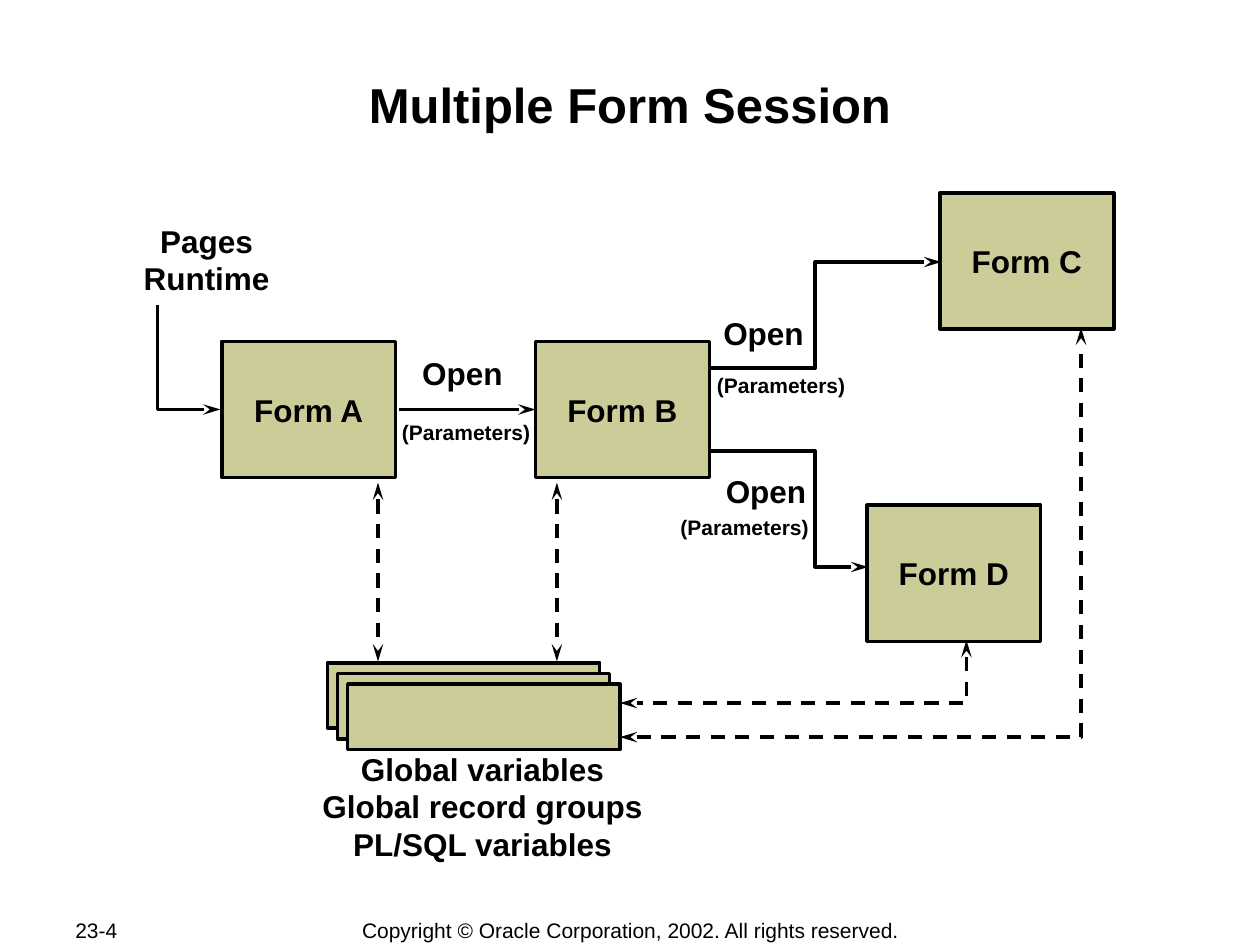
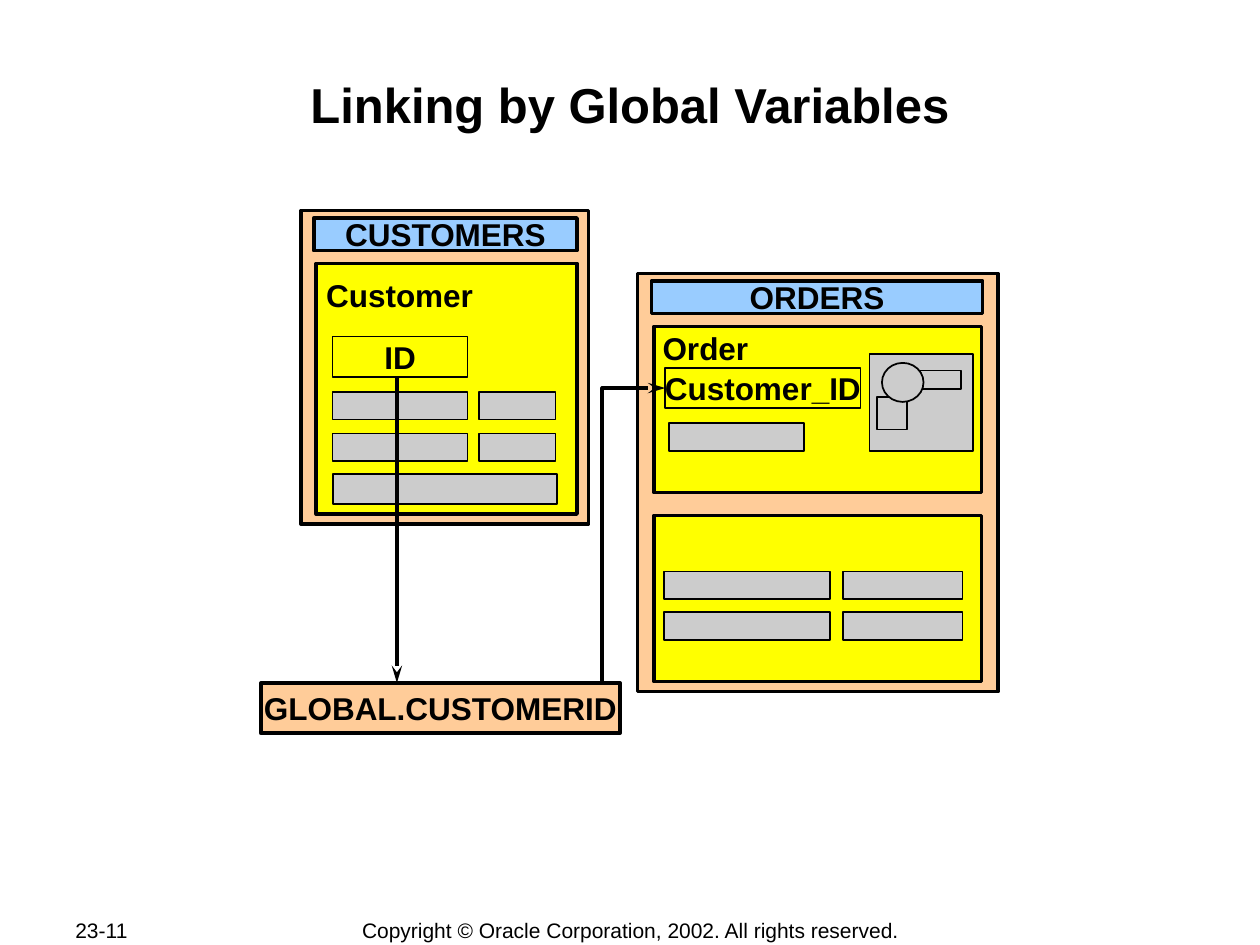
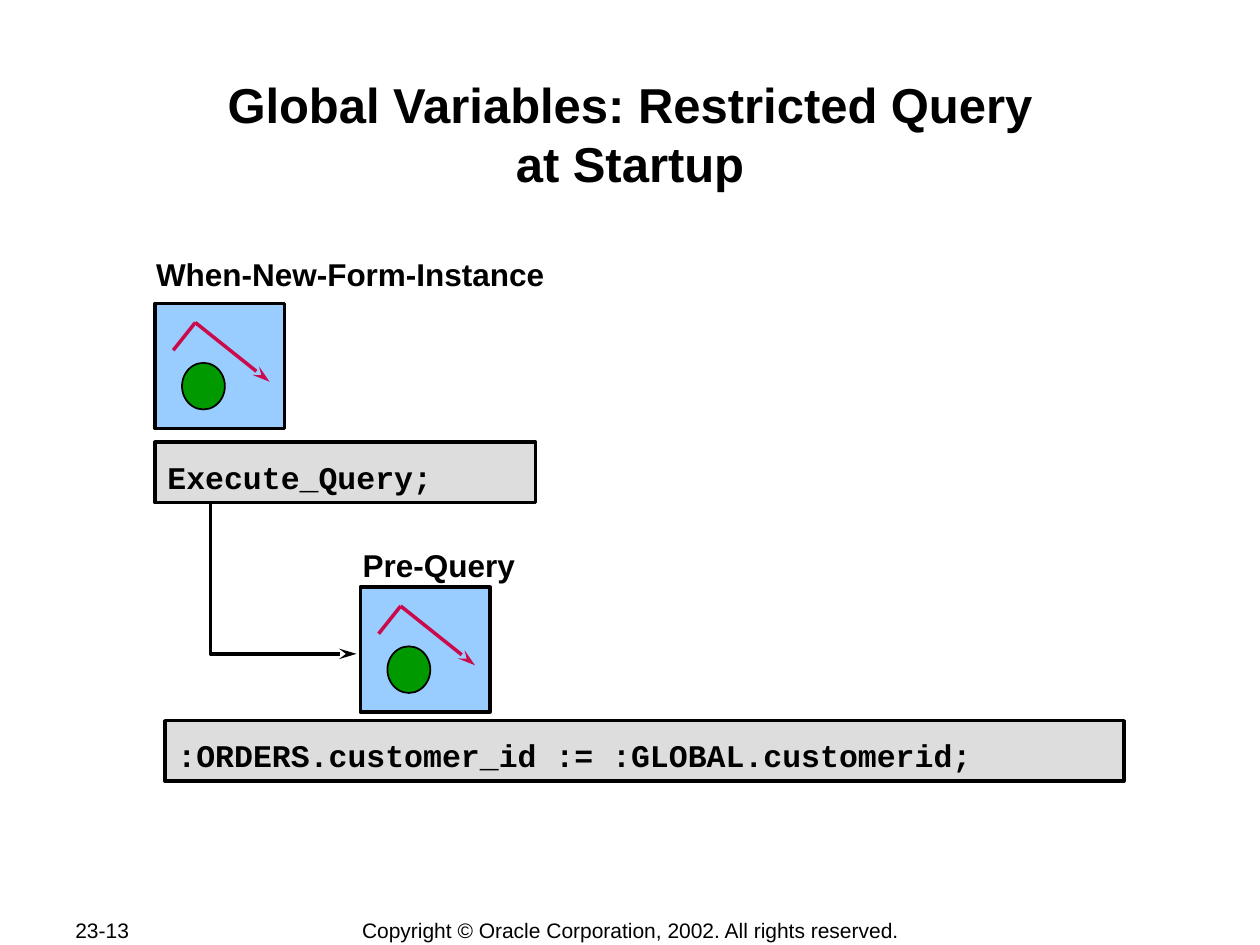
from copy import deepcopy
from itertools import product
from typing import NamedTuple

from pptx import Presentation
from pptx.dml.color import RGBColor
from pptx.enum.dml import MSO_LINE
from pptx.enum.shapes import MSO_CONNECTOR, MSO_SHAPE
from pptx.enum.text import MSO_ANCHOR, MSO_AUTO_SIZE, PP_ALIGN
from pptx.oxml.ns import qn
from pptx.oxml.xmlchemy import OxmlElement
from pptx.util import Emu, Inches, Pt

# Shared look: a grid of 100 columns by 75 rows
WIDE, HIGH = Inches(10), Inches(7.5)
COLS, ROWS = 100, 75
BLACK, GRAY, CODE = "000000", "CCCCCC", "DDDDDD"
OLIVE, PEACH, SKY, YELLOW = "CCCC99", "FFCC99", "99CCFF", "FFFF00"
GREEN, RED = "009900", "CB0A4C"
SANS, MONO = "Arial", "Courier New"
LEGAL = "Copyright © Oracle Corporation, 2002. All rights reserved."


class Area(NamedTuple):
    x: float
    y: float
    w: float
    h: float


class Box(NamedTuple):
    area: Area
    fill: str | None
    text: str = ""
    line: float = 2


class Label(NamedTuple):
    area: Area
    text: str
    size: float = 18


class Route(NamedTuple):
    points: list[tuple[float, float]]
    both: bool = False


TITLE = Area(10, 5.8, 80, 9.6)
PAGE = Area(5, 72.8, 10.6, 2)
FOOT = Area(27.6, 72.8, 44.9, 2.1)


def color(code: str) -> RGBColor:
    return RGBColor.from_string(code)


def col(x: float) -> Emu:
    return Emu(round(WIDE * x / COLS))


def row(y: float) -> Emu:
    return Emu(round(HIGH * y / ROWS))


def place(area: Area) -> tuple[Emu, Emu, Emu, Emu]:
    return col(area.x), row(area.y), col(area.w), row(area.h)


def write(shape, text: str, *, size: float = 18, font: str = SANS,
          bold: bool = True, align=PP_ALIGN.CENTER, anchor=MSO_ANCHOR.MIDDLE,
          wrap: bool = False, lead: float | None = None,
          pad: float | None = None) -> None:
    frame = shape.text_frame
    frame.text = text
    frame.auto_size = MSO_AUTO_SIZE.NONE
    frame.word_wrap = wrap
    frame.vertical_anchor = anchor
    if pad is not None:
        frame.margin_left = frame.margin_right = Inches(pad)
        frame.margin_top = frame.margin_bottom = Inches(pad)
    for para in frame.paragraphs:
        para.alignment = align
        if lead:
            para.line_spacing = lead
        for run in para.runs:
            run.font.name, run.font.size, run.font.bold = font, Pt(size), bold
            run.font.color.rgb = color(BLACK)
        # Line breaks take the format of the text around them
        for gap in para._p.findall(qn("a:br")):
            gap.append(deepcopy(para.runs[0]._r.rPr))


def label(slide, area: Area, text: str, **style) -> None:
    write(slide.shapes.add_textbox(*place(area)), text, **style)


def box(slide, item: Box, kind=MSO_SHAPE.RECTANGLE, **style) -> None:
    shape = slide.shapes.add_shape(kind, *place(item.area))
    shape.shadow.inherit = False
    if item.fill:
        shape.fill.solid()
        shape.fill.fore_color.rgb = color(item.fill)
    else:
        shape.fill.background()
    shape.line.color.rgb = color(BLACK)
    shape.line.width = Pt(item.line)
    if item.text:
        write(shape, item.text, **style)


def arrow(slide, route: Route, ink: str = BLACK, tip: bool = True) -> None:
    """Draw a line through the points; a two-way route is dashed."""
    spots = [(col(x), row(y)) for x, y in route.points]
    if len(spots) == 2:
        shape = slide.shapes.add_connector(
            MSO_CONNECTOR.STRAIGHT, *spots[0], *spots[1])
        shape._element.spPr.append(OxmlElement("a:effectLst"))
    else:
        path = slide.shapes.build_freeform(*spots[0])
        path.add_line_segments(spots[1:], close=False)
        shape = path.convert_to_shape()
        shape.fill.background()
        shape.shadow.inherit = False
    shape.line.color.rgb = color(ink)
    shape.line.width = Pt(2)
    if route.both:
        shape.line.dash_style = MSO_LINE.DASH
    ends = ["a:headEnd"] * route.both + ["a:tailEnd"] * tip
    for name in ends:
        end = OxmlElement(name)
        end.set("type", "stealth")
        end.set("w", "med")
        end.set("len", "lg")
        shape.line._get_or_add_ln().append(end)


def start(deck, title: str, page: str):
    """Add a slide with its title and footer."""
    slide = deck.slides.add_slide(deck.slide_layouts[5])
    head = slide.shapes.title
    head.left, head.top, head.width, head.height = place(TITLE)
    write(head, title, size=28, anchor=MSO_ANCHOR.TOP, wrap=True, pad=0.01)
    label(slide, PAGE, page, size=12, bold=False, align=PP_ALIGN.LEFT)
    label(slide, FOOT, LEGAL, size=12, bold=False)
    return slide


def session(deck) -> None:
    slide = start(deck, "Multiple Form Session", "23-4")

    # Forms and the stack of shared data
    forms = {"A": (17.6, 27.1), "B": (42.5, 27.1),
             "C": (74.6, 15.3), "D": (68.8, 40.1)}
    for name, (x, y) in forms.items():
        box(slide, Box(Area(x, y, 13.8, 10.8), OLIVE, f"Form {name}"))
    for step in range(3):
        x, y = 26 + 0.8 * step, 52.6 + 0.85 * step
        box(slide, Box(Area(x, y, 21.6, 5.2), OLIVE))

    # Calls between forms, then two-way links to the data
    for route in (
        Route([(12.5, 24.2), (12.5, 32.5), (17.5, 32.5)]),
        Route([(31.7, 32.5), (42.5, 32.5)]),
        Route([(56.4, 29.2), (64.7, 29.2), (64.7, 20.8), (74.7, 20.8)]),
        Route([(56.4, 35.8), (64.7, 35.8), (64.7, 45), (68.9, 45)]),
        Route([(30, 38.3), (30, 52.5)], True),
        Route([(44.2, 38.3), (44.2, 52.5)], True),
        Route([(49.2, 58.5), (85.8, 58.5), (85.8, 26)], True),
        Route([(76.7, 50.8), (76.7, 55.8), (49.2, 55.8)], True),
    ):
        arrow(slide, route)

    # Labels
    stores = "Global variables\nGlobal record groups\nPL/SQL variables"
    notes = [Label(Area(9.4, 18.6, 14, 4), "Pages\vRuntime"),
             Label(Area(25.8, 61.7, 25, 4.6), stores)]
    for x, y in ((29.7, 27.3), (53.6, 24.1), (53.8, 36.7)):
        notes.append(Label(Area(x, y, 14, 4.6), "Open"))
    for x, y in ((30, 32), (55, 28.3), (52.1, 39.5)):
        notes.append(Label(Area(x, y, 14, 4.6), "(Parameters)", 12))
    for note in notes:
        label(slide, note.area, note.text, size=note.size)


def fields(slide, xs, ys) -> None:
    """Fill a grid of blank fields; xs holds (left, width) pairs."""
    for (x, w), y in product(xs, ys):
        box(slide, Box(Area(x, y, w, 2.2), GRAY, line=1))


def linking(deck) -> None:
    slide = start(deck, "Linking by Global Variables", "23-11")

    # Windows, their bars and blocks, and the global variable
    for item in (
        Box(Area(50.6, 21.7, 28.6, 33.2), PEACH),
        Box(Area(51.7, 22.3, 26.3, 2.6), SKY, "ORDERS"),
        Box(Area(51.9, 25.9, 26, 13.2), YELLOW),
        Box(Area(51.9, 40.9, 26, 13.2), YELLOW),
        Box(Area(52.8, 29.2, 15.5, 3.2), None, "Customer_ID", 1),
        Box(Area(23.9, 16.7, 22.8, 24.9), PEACH),
        Box(Area(24.9, 17.3, 20.9, 2.6), SKY, "CUSTOMERS"),
        Box(Area(25.1, 20.9, 20.7, 19.9), YELLOW),
        Box(Area(26.4, 26.7, 10.7, 3.2), None, "ID", 1),
        Box(Area(26.4, 37.6, 17.8, 2.4), GRAY, line=1),
        Box(Area(20.7, 54.2, 28.5, 4), PEACH, "GLOBAL.CUSTOMERID"),
    ):
        box(slide, item)
    fields(slide, [(26.4, 10.7), (38, 6.1)], [31.1, 34.4])
    fields(slide, [(53.1, 10.7)], [33.6])
    fields(slide, [(52.7, 13.2), (66.9, 9.5)], [45.35, 48.6])

    # Image field
    for area in (Area(69, 28.1, 8.2, 7.7), Area(69.6, 31.5, 2.4, 2.6),
                 Area(72.2, 29.4, 4.1, 1.5)):
        box(slide, Box(area, GRAY, line=1))
    box(slide, Box(Area(70, 28.8, 3.3, 3.1), GRAY, line=1), MSO_SHAPE.OVAL)

    # Block names and the path of the value
    for area, name in ((Area(51.6, 25.6, 8.8, 4), "Order"),
                       (Area(24.9, 21.4, 13.7, 4), "Customer")):
        label(slide, area, name, align=PP_ALIGN.LEFT, anchor=MSO_ANCHOR.TOP)
    arrow(slide, Route([(31.5, 30), (31.5, 54.2)]))
    arrow(slide, Route([(47.8, 54.2), (47.8, 30.8), (52.8, 30.8)]))


def trigger(slide, x: float, y: float) -> None:
    """Draw the trigger icon with its corner at x, y."""
    box(slide, Box(Area(x, y, 10.3, 9.9), SKY))
    box(slide, Box(Area(x + 2.15, y + 4.7, 3.4, 3.7), GREEN, line=1),
        MSO_SHAPE.OVAL)
    peak = (x + 3.2, y + 1.5)
    arrow(slide, Route([peak, (x + 1.45, y + 3.7)]), RED, tip=False)
    arrow(slide, Route([peak, (x + 9.1, y + 6.2)]), RED)


def startup(deck) -> None:
    slide = start(
        deck, "Global Variables: Restricted Query\vat Startup", "23-13")
    flow = {"align": PP_ALIGN.LEFT, "anchor": MSO_ANCHOR.TOP, "wrap": True}
    arrow(slide, Route([(16.7, 38.6), (16.7, 51.9), (28.3, 51.9)]))

    # Code
    for area, code in (
        (Area(12.3, 35.1, 30.2, 4.8), "Execute_Query;"),
        (Area(13.1, 57.2, 76.1, 4.8),
         ":ORDERS.customer_id := :GLOBAL.customerid;"),
    ):
        box(slide, Box(area, CODE, code), font=MONO, lead=1.25, **flow)

    # Triggers
    for area, name in ((Area(11.4, 20, 46.4, 3.9), "When-New-Form-Instance"),
                       (Area(27.8, 43.1, 16, 3.9), "Pre-Query")):
        label(slide, area, name, lead=0.95, **flow)
    trigger(slide, 12.3, 24.1)
    trigger(slide, 28.6, 46.6)


def main() -> None:
    deck = Presentation()
    deck.slide_width, deck.slide_height = WIDE, HIGH
    for build in (session, linking, startup):
        build(deck)
    deck.save("out.pptx")


if __name__ == "__main__":
    main()
